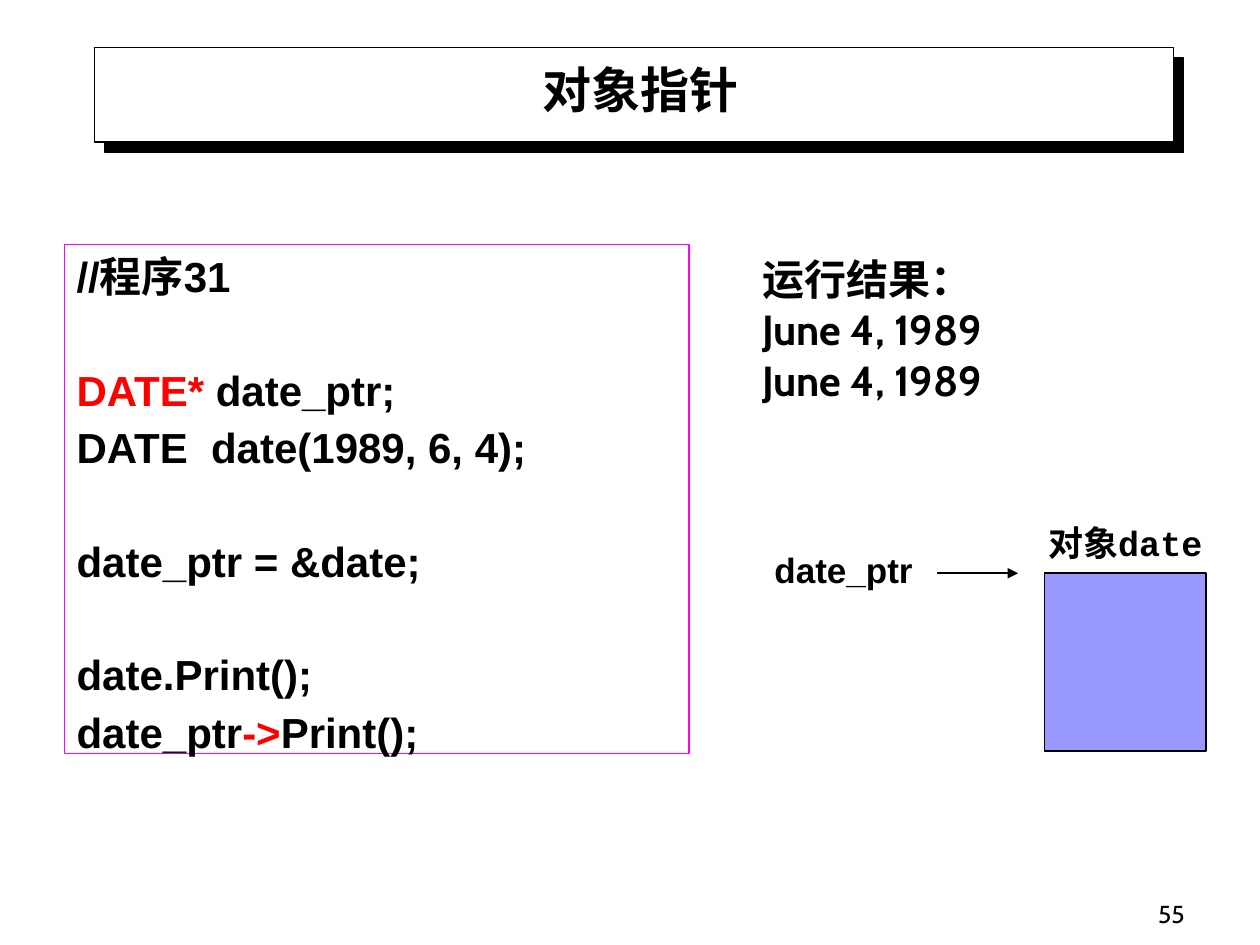
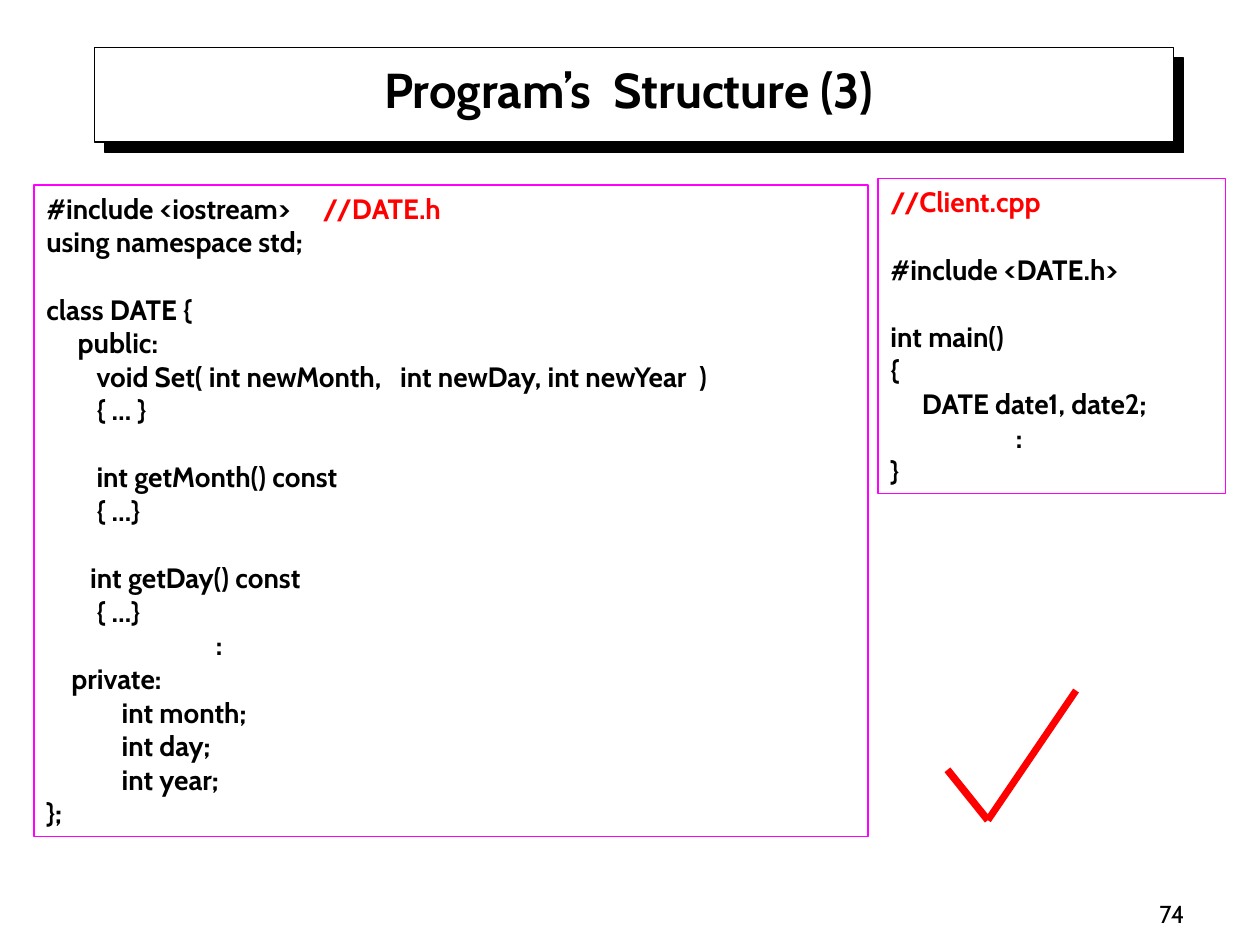
from lxml import etree
from pptx import Presentation
from pptx.dml.color import RGBColor
from pptx.enum import shapes, text
from pptx.oxml import ns
from pptx.util import Pt

COLORS = {"ink": "000000", "paper": "FFFFFF", "accent": "FF0000",
          "frame": "FF00FF", "object": "0000FF"}
CENTER, RIGHT = text.PP_ALIGN.CENTER, text.PP_ALIGN.RIGHT
TOP, MIDDLE, BOTTOM = (text.MSO_ANCHOR.TOP, text.MSO_ANCHOR.MIDDLE,
                       text.MSO_ANCHOR.BOTTOM)


def rgb(name):
    return RGBColor.from_string(COLORS[name])


def add_xml(parent, tag, **attributes):
    return etree.SubElement(parent, ns.qn(tag), attributes)


class Deck:
    def __init__(self):
        self.prs = Presentation()
        self.prs.slide_width, self.prs.slide_height = Pt(720), Pt(540)
        self.layout = self.prs.slide_layouts[5]
        self.slide = None
        self.has_band = False

    def new_slide(self, title, number, right_margin=7.2):
        self.slide = self.prs.slides.add_slide(self.layout)
        if not self.has_band:
            self.title_band()
        heading = self.slide.shapes.title
        heading.left, heading.top = Pt(59.8), Pt(31.7)
        heading.width, heading.height = Pt(612), Pt(39.6)
        self.set_lines(heading, [title], 28, align=CENTER, anchor=BOTTOM)
        heading.text_frame.margin_right = Pt(right_margin)
        self.label((534.2, 498.2, 149.8, 36), [number], 14, bold=False,
                   align=RIGHT, anchor=BOTTOM)

    def title_band(self):
        """Put the shadowed band behind the title on the shared layout."""
        band = self.box((54, 27.2, 616.5, 54), "ink", 0.75, fill="paper")
        effects = band._element.spPr.find(ns.qn("a:effectLst"))
        shadow = add_xml(effects, "a:outerShdw", blurRad="0",
                         dist=str(Pt(8.5)), dir="2700000", algn="ctr",
                         rotWithShape="0")
        add_xml(shadow, "a:srgbClr", val=COLORS["ink"])
        self.layout.placeholders[0]._element.addprevious(band._element)
        self.has_band = True

    def box(self, area, line, width, fill=None, opacity=None):
        shape = self.slide.shapes.add_shape(
            shapes.MSO_SHAPE.RECTANGLE, *map(Pt, area))
        shape.shadow.inherit = False
        shape.line.color.rgb, shape.line.width = rgb(line), Pt(width)
        if fill:
            shape.fill.solid()
            shape.fill.fore_color.rgb = rgb(fill)
        else:
            shape.fill.background()
        if opacity:
            color = shape._element.spPr.find(ns.qn("a:solidFill"))[0]
            add_xml(color, "a:alpha", val=str(opacity * 1000))
        return shape

    def label(self, area, lines, size, **style):
        holder = self.slide.shapes.add_textbox(*map(Pt, area))
        self.set_lines(holder, lines, size, **style)
        return holder

    def code(self, area, lines, size, **style):
        self.set_lines(self.box(area, "frame", 0.75), lines, size, **style)

    def set_lines(self, holder, lines, size, font="Cabin", bold=True,
                  align=text.PP_ALIGN.LEFT, anchor=TOP, inset=(7.2, 3.6),
                  before=0, blank=0, tab=None):
        """Each line is a string or a list of (text, colour) runs.
        An empty line becomes `blank` points before the next one."""
        frame = holder.text_frame
        frame.word_wrap, frame.auto_size = True, text.MSO_AUTO_SIZE.NONE
        frame.vertical_anchor = anchor
        frame.margin_left = frame.margin_right = Pt(inset[0])
        frame.margin_top = frame.margin_bottom = Pt(inset[1])
        gap = None
        for line in lines:
            if not line:
                gap += blank
                continue
            first = gap is None
            paragraph = frame.paragraphs[0] if first else frame.add_paragraph()
            if tab and first:
                stops = add_xml(paragraph._p.get_or_add_pPr(), "a:tabLst")
                add_xml(stops, "a:tab", pos=str(Pt(tab)), algn="l")
            paragraph.alignment = align
            paragraph.space_before = Pt(gap or 0)
            for words, color in [(line, "ink")] if isinstance(line, str) else line:
                run = paragraph.add_run()
                run.text = words
                run.font.name, run.font.size = font, Pt(size)
                run.font.bold, run.font.color.rgb = bold, rgb(color)
            gap = before

    def line(self, start, end, color, width, arrow=False, source=None):
        stroke = self.slide.shapes.add_connector(
            shapes.MSO_CONNECTOR.STRAIGHT, *map(Pt, start + end))
        stroke.line.color.rgb, stroke.line.width = rgb(color), Pt(width)
        if arrow:
            outline = stroke._element.spPr.find(ns.qn("a:ln"))
            add_xml(outline, "a:tailEnd", type="triangle")
        add_xml(stroke._element.spPr, "a:effectLst")
        if source:
            stroke.begin_connect(source, 3)


def object_pointer(deck):
    deck.new_slide("对象指针", "55")
    # Program listing
    deck.code((36.7, 139.7, 357.1, 290.9), [
        "//程序31",
        "",
        [("DATE*", "accent"), (" date_ptr;", "ink")],
        "DATE  date(1989, 6, 4);",
        "",
        "date_ptr = &date;",
        "",
        "date.Print();",
        [("date_ptr", "ink"), ("->", "accent"), ("Print();", "ink")],
    ], 24, font="Arial", before=4.2, blank=31.8)
    # Pointer and the object it refers to
    deck.label((596.9, 298.1, 92.2, 28.8), ["对象date"], 20,
               font="Courier New", align=CENTER, inset=(0, 0))
    deck.box((596.9, 327.6, 92.2, 101.5), "ink", 1, fill="object", opacity=40)
    pointer = deck.label((428.4, 313.2, 107.3, 28.8), ["date_ptr"], 20,
                         font="Arial", align=CENTER, inset=(0, 0))
    deck.line((535.7, 327.6), (581.8, 327.6), "ink", 1, arrow=True,
              source=pointer)
    # Program output
    deck.label((428.4, 139.7, 238.3, 96.5),
               ["运行结果："] + ["June 4, 1989"] * 2, 24, anchor=MIDDLE)


def program_structure(deck):
    deck.new_slide("Program’s  Structure (3)", "74", right_margin=20.4)
    # Header file
    deck.code((19.4, 105.8, 476.6, 372.2), [
        [("#include <iostream>\t", "ink"), ("//DATE.h", "accent")],
        "using namespace std;",
        "",
        "class DATE {",
        "     public:",
        "        void Set( int newMonth,   int newDay, int newYear  )",
        "        { … }",
        "",
        "        int getMonth() const",
        "        { …}",
        "",
        "       int getDay() const",
        "        { …}",
        "                           :",
        "    private:",
        "            int month;",
        "            int day;",
        "            int year;",
        "};",
    ], 16, blank=19.2, tab=158)
    # Check mark
    corner = (564.5, 468.7)
    deck.line((541.4, 439.9), corner, "accent", 4.25)
    deck.line(corner, (614.9, 394.6), "accent", 4)
    # Client file
    deck.code((501.8, 102.2, 198.7, 180), [
        [("//Client.cpp", "accent")],
        "",
        "#include <DATE.h>",
        "",
        "int main()",
        "{",
        "     DATE date1, date2;",
        "                    :",
        "}",
    ], 16, blank=19.2)


def main():
    deck = Deck()
    object_pointer(deck)
    program_structure(deck)
    deck.prs.save("out.pptx")


if __name__ == "__main__":
    main()
